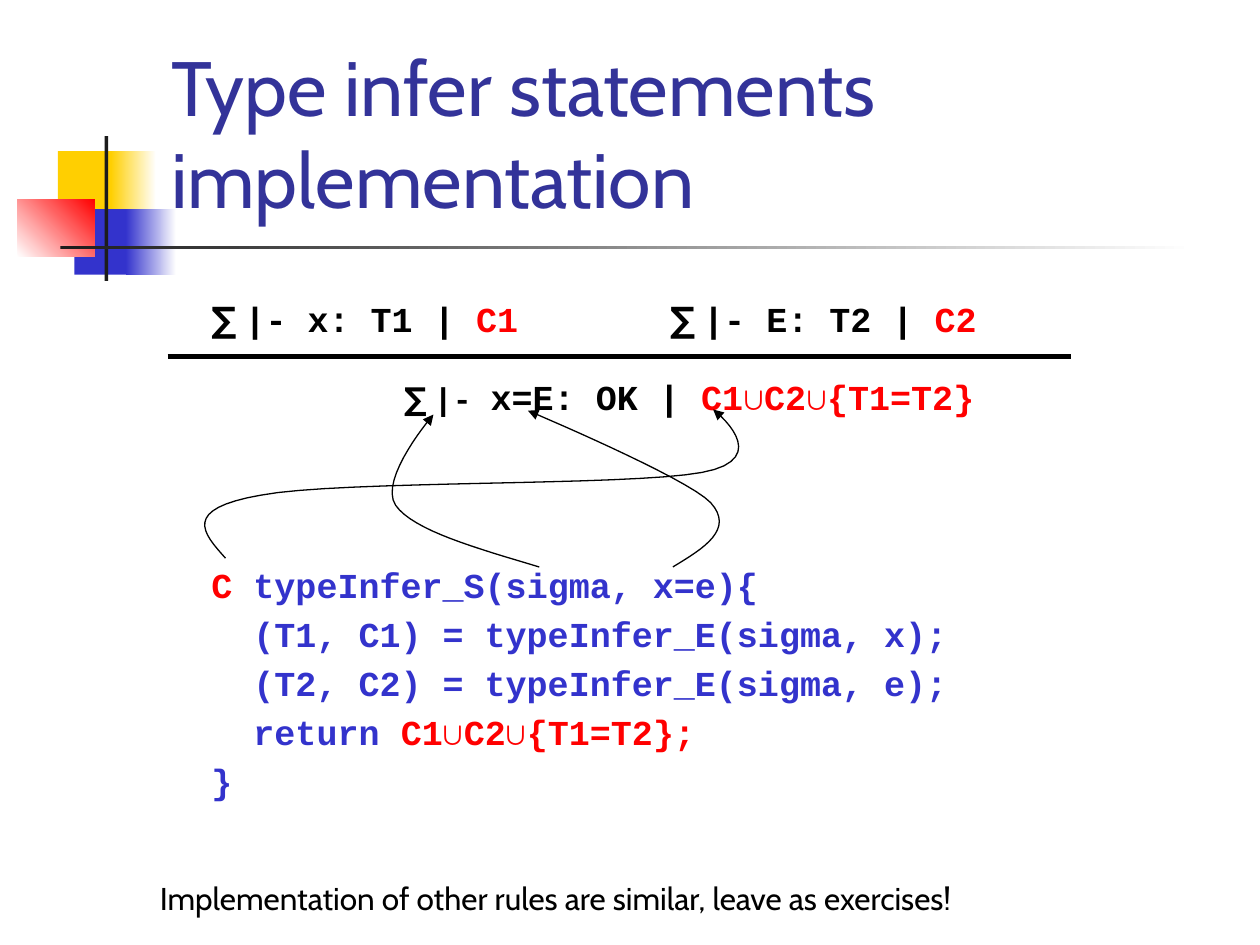
from pptx import Presentation
from pptx.dml.color import RGBColor as RGB
from pptx.enum.shapes import MSO_CONNECTOR as Conn, MSO_SHAPE as Shape
from pptx.enum.text import MSO_ANCHOR as Anchor, MSO_AUTO_SIZE as Auto
from pptx.oxml.ns import qn
from pptx.util import Inches, Pt
from lxml.etree import SubElement as Sub

BLACK, WHITE, RED, BLUE = "000000", "FFFFFF", "FF0000", "3333CC"
GOLD, DARK, NAVY = "FFCF01", "1C1C1C", "333399"
SANS, MONO = "Cabin", "Courier New"


def paint(color, code):
    color.rgb = RGB.from_string(code)


def write(at, paras, wrap=True, anchor=Anchor.TOP, grow=True):
    """Add a text box; each paragraph is a list of (text, colour, format)."""
    box = slide.shapes.add_textbox(*map(Inches, at))
    frame = box.text_frame
    look = {"word_wrap": wrap, "vertical_anchor": anchor,
            "auto_size": Auto.SHAPE_TO_FIT_TEXT if grow else Auto.NONE}
    for key, val in look.items():
        setattr(frame, key, val)
    for i, runs in enumerate(paras):
        para = frame.paragraphs[0] if i == 0 else frame.add_paragraph()
        for text, code, form in runs:
            run = para.add_run()
            run.text = text
            paint(run.font.color, code)
            for key, val in form.items():
                setattr(run.font, key, val)
    return frame


prs = Presentation()
prs.slide_width, prs.slide_height = Inches(10), Inches(7.5)
slide = prs.slides.add_slide(prs.slide_layouts[6])
paint(slide.background.fill.fore_color if slide.background.fill.solid() else
      slide.background.fill.fore_color, WHITE)

# Corner blocks and title rule: place, colours, gradient angle
blocks = [
    ((0.46, 1.2, 0.48, 0.52), [GOLD], 0),
    ((0.88, 1.2, 0.36, 0.52), [GOLD, WHITE], 0),
    ((0.59, 1.66, 0.46, 0.52), [BLUE], 0),
    ((1, 1.66, 0.4, 0.52), [BLUE, WHITE], 0),
    ((0.14, 1.58, 0.61, 0.46), [WHITE, RED], 45),
    ((0.83, 1.08, 0.03, 1.15), [DARK], 0),
    ((0.48, 1.95, 9, 0.03), [DARK, WHITE], 0),
]
for at, codes, angle in blocks:
    block = slide.shapes.add_shape(Shape.RECTANGLE, *map(Inches, at))
    block.shadow.inherit = False
    block.line.fill.background()
    fill = block.fill
    if len(codes) == 1:
        fill.solid()
        paint(fill.fore_color, codes[0])
    else:
        fill.gradient()
        fill.gradient_angle = angle
        for stop, code in zip(fill.gradient_stops, codes):
            paint(stop.color, code)

# Title
write((1.26, 0.23, 8.52, 1.6),
      [[("Type infer statements implementation", NAVY,
         {"name": SANS, "size": Pt(44)})]],
      anchor=Anchor.BOTTOM, grow=False)

# Code
code = {"name": MONO, "size": Pt(20), "bold": True}
union = "C1∪C2∪{T1=T2}"
body = write((1.58, 4.42, 7, 1.25), [
    [("C", RED, code), (" typeInfer_S(sigma, x=e){", BLUE, code)],
    [("  (T1, C1) = typeInfer_E(sigma, x);", BLUE, code)],
    [("  (T2, C2) = typeInfer_E(sigma, e);", BLUE, code)],
    [("  return ", BLUE, code), (union + ";", RED, code)],
    [("}", BLUE, code)],
], grow=False)
for i, para in enumerate(body.paragraphs):
    props = para._p.get_or_add_pPr()
    props.set("marL", str(Inches(0.38)))
    props.set("indent", str(-Inches(0.38)))
    para.space_before = Pt(4 if i else 0)

# Inference rule: bar, premises, conclusion
bar = slide.shapes.add_connector(
    Conn.STRAIGHT, *map(Inches, (1.33, 2.83, 8.5, 2.83)))
paint(bar.line.color, BLACK)
bar.line.width = Pt(3)
Sub(bar._element.spPr, qn("a:effectLst"))

sign = {**code, "name": SANS}
for left, term, cons in [(1.58, "x: T1", "C1"), (5.22, "E: T2", "C2")]:
    write((left, 2.31, 2.68, 0.44),
          [[("∑ ", BLACK, sign), (f"|- {term} | ", BLACK, code),
            (cons, RED, code)]], wrap=False)
small = {"size": Pt(18)}
write((3.11, 2.93, 4.93, 0.44),
      [[("∑ ", BLACK, {**sign, **small}), ("|- ", BLACK, {**code, **small}),
        ("x=E: OK | ", BLACK, code), (union, RED, code)]], wrap=False)

# Curved arrows from code to rule: start, then Bezier triples
curves = [
    [(4.28, 4.5), (3.78, 4.35), (3.28, 4.21), (3.14, 4.01),
     (3, 3.8), (3.44, 3.29), (3.44, 3.29)],
    [(5.34, 4.5), (5.59, 4.35), (5.83, 4.2), (5.64, 3.99),
     (5.45, 3.79), (4.19, 3.26), (4.19, 3.26)],
    [(1.79, 4.43), (1.61, 4.23), (1.44, 4.04), (2.07, 3.93),
     (2.7, 3.81), (4.97, 3.86), (5.57, 3.75),
     (6.17, 3.64), (5.66, 3.25), (5.66, 3.25)],
]
STEPS = 16
for knots in curves:
    dots = []
    for k in range(0, len(knots) - 1, 3):
        for n in range(1, STEPS + 1):
            t = n / STEPS
            u = 1 - t
            mix = (u**3, 3 * u * u * t, 3 * u * t * t, t**3)
            dots.append([Inches(sum(m * p[axis] for m, p in
                                    zip(mix, knots[k:k + 4])))
                         for axis in (0, 1)])
    pen = slide.shapes.build_freeform(*map(Inches, knots[0]))
    pen.add_line_segments(dots, close=False)
    curve = pen.convert_to_shape()
    curve.shadow.inherit = False
    curve.fill.background()
    paint(curve.line.color, BLACK)
    curve.line.width = Pt(0.75)
    Sub(curve.line._get_or_add_ln(), qn("a:tailEnd"), type="triangle")

# Closing note
write((1.17, 6.93, 7.08, 0.4),
      [[("Implementation of other rules are similar, leave as exercises!",
         BLACK, {"name": SANS, "size": Pt(18)})]])

prs.save("out.pptx")
